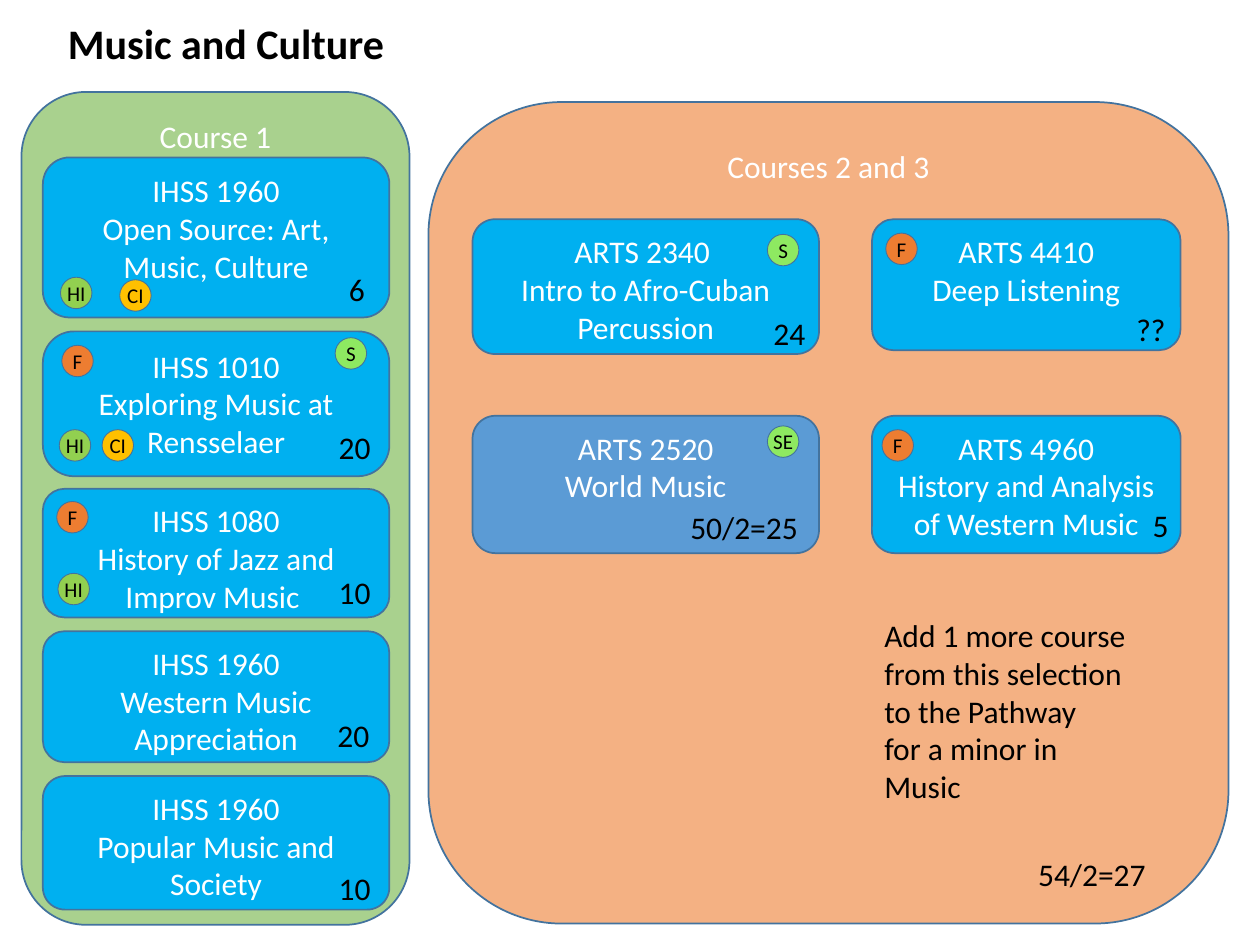
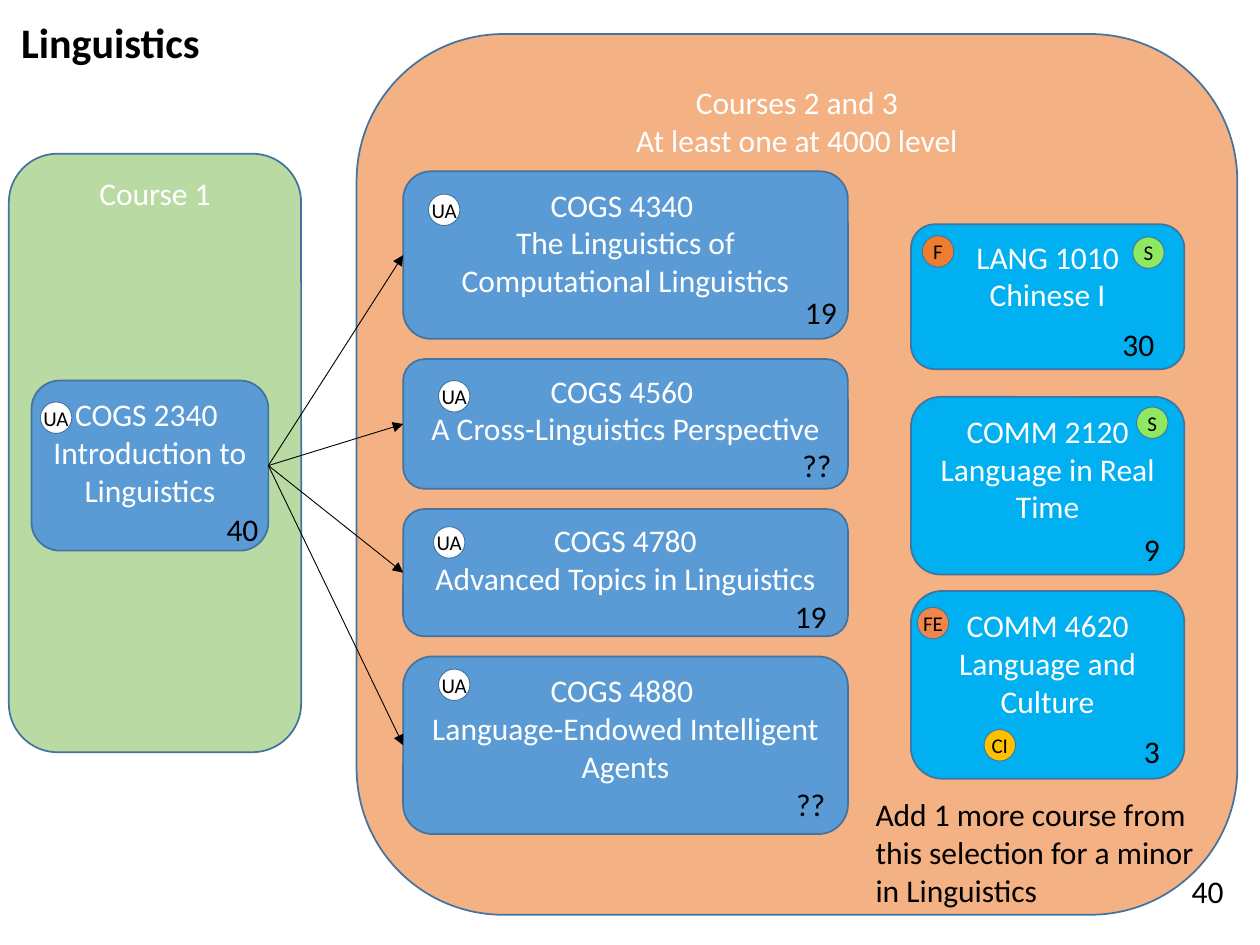
from lxml import etree
from pptx import Presentation
from pptx.dml.color import RGBColor
from pptx.enum.shapes import MSO_CONNECTOR as Connector, MSO_SHAPE as Preset
from pptx.enum.text import MSO_ANCHOR as Anchor, MSO_AUTO_SIZE as AutoSize, PP_ALIGN as Align
from pptx.oxml.ns import qn
from pptx.util import Inches, Pt

GREEN, ORANGE, CYAN, BLUE = "A9D18E", "F4B183", "00B0F0", "5B9BD5"
OUTLINE, WHITE, BLACK = "43739E", "FFFFFF", "000000"
BADGE_COLOURS = {"HI": "92D050", "CI": "FFC000", "F": "ED7D31", "FE": "EF864B",
                 "S": "8EE961", "SE": "8EE961", "UA": WHITE}
BADGE_SIZE = 0.25


def colour(value):
    return RGBColor.from_string(value)


class PathwayDeck:
    """Holds the shared style and the slide being built."""

    font = "Calibri"

    def __init__(self):
        self.deck = Presentation()
        self.deck.slide_width, self.deck.slide_height = Inches(10), Inches(7.5)
        self.slide = None

    def new_slide(self, title, left, top, width):
        self.slide = self.deck.slides.add_slide(self.deck.slide_layouts[6])
        self.text([title], left, top, width, 0.5, size=24, bold=True)

    def add_lines(self, frame, lines, size, ink, align, bold=False):
        for index, line in enumerate(lines):
            paragraph = frame.add_paragraph() if index else frame.paragraphs[0]
            paragraph.alignment = align
            run = paragraph.add_run()
            run.text = line
            run.font.name, run.font.size, run.font.bold = self.font, Pt(size), bold
            run.font.color.rgb = colour(ink)

    def text(self, lines, left, top, width, height, size=18, bold=False):
        box = self.slide.shapes.add_textbox(*map(Inches, (left, top, width, height)))
        box.text_frame.word_wrap = False
        box.text_frame.auto_size = AutoSize.SHAPE_TO_FIT_TEXT
        self.add_lines(box.text_frame, lines, size, BLACK, Align.LEFT, bold)

    def count(self, value, left, top):
        self.text([value], left, top, 0.2 + 0.13 * len(value), 0.4)

    def shape(self, preset, left, top, width, height, fill, weight):
        outline = self.slide.shapes.add_shape(preset, *map(Inches, (left, top, width, height)))
        outline.shadow.inherit = False
        outline.fill.solid()
        outline.fill.fore_color.rgb = colour(fill)
        outline.line.color.rgb = colour(OUTLINE)
        outline.line.width = Pt(weight)
        return outline

    def card(self, lines, left, top, width, height, fill, opacity=100):
        card = self.shape(Preset.ROUNDED_RECTANGLE, left, top, width, height, fill, 1)
        card.text_frame.word_wrap = True
        card.text_frame.vertical_anchor = Anchor.TOP
        self.add_lines(card.text_frame, lines, 18, WHITE, Align.CENTER)
        if opacity < 100:
            solid = card._element.spPr.find(qn("a:solidFill"))
            etree.SubElement(solid[0], qn("a:alpha"), val=str(opacity * 1000))
        return card

    def column(self, left, width, fill, courses):
        return [self.card(lines, left, top, width, height, fill)
                for top, height, *lines in courses]

    def badge(self, code, left, top):
        badge = self.shape(Preset.OVAL, left, top, BADGE_SIZE, BADGE_SIZE,
                           BADGE_COLOURS[code], 0.5)
        frame = badge.text_frame
        frame.word_wrap = False
        frame.vertical_anchor = Anchor.MIDDLE
        frame.margin_left = frame.margin_right = frame.margin_top = frame.margin_bottom = 0
        self.add_lines(frame, [code], 12, BLACK, Align.CENTER)

    def marks(self, badges, counts):
        for badge in badges:
            self.badge(*badge)
        for count in counts:
            self.count(*count)

    def arrow(self, source, target):
        arrow = self.slide.shapes.add_connector(Connector.STRAIGHT, 0, 0, 0, 0)
        arrow.begin_connect(source, 3)
        arrow.end_connect(target, 1)
        arrow.line.color.rgb = colour(BLACK)
        arrow.line.width = Pt(0.5)
        properties = arrow._element.spPr
        etree.SubElement(properties.find(qn("a:ln")), qn("a:tailEnd"), type="triangle")
        etree.SubElement(properties, qn("a:effectLst"))


def build_music(deck):
    deck.new_slide("Music and Culture", 0.44, 0.09, 2.74)
    deck.card(["Course 1"], 0.17, 0.73, 3.08, 6.61, GREEN)
    deck.card(["Courses 2 and 3"], 3.4, 0.81, 6.35, 6.52, ORANGE)
    first_courses = deck.column(0.34, 2.75, CYAN, [
        (1.25, 1.27, "IHSS 1960", "Open Source: Art, Music, Culture"),
        (2.63, 1.15, "IHSS 1010", "Exploring Music at Rensselaer"),
        (3.88, 1.02, "IHSS 1080", "History of Jazz and Improv Music "),
        (5.01, 1.04, "IHSS 1960", "Western Music Appreciation"),
        (6.16, 1.06, "IHSS 1960", "Popular Music and Society"),
    ])
    first_courses[1].adjustments[0] = 0.215
    deck.column(3.75, 2.75, CYAN, [
        (1.74, 1.07, "ARTS 2340 ", "Intro to Afro-Cuban Percussion")])
    deck.column(3.75, 2.75, BLUE, [(3.3, 1.09, "ARTS 2520", "World Music")])
    deck.column(6.92, 2.45, CYAN, [
        (1.74, 1.04, "ARTS 4410", "Deep Listening"),
        (3.3, 1.09, "ARTS 4960", "History and Analysis of Western Music"),
    ])
    deck.marks(
        badges=[("HI", 0.48, 2.2), ("CI", 0.95, 2.22),
                ("F", 0.49, 2.74), ("S", 2.66, 2.68), ("HI", 0.47, 3.41), ("CI", 0.81, 3.41),
                ("F", 0.45, 3.98), ("HI", 0.46, 4.55),
                ("S", 6.09, 1.86), ("SE", 6.09, 3.38), ("F", 7.03, 1.85), ("F", 7, 3.41)],
        counts=[("6", 2.67, 2.09), ("20", 2.59, 3.35), ("10", 2.59, 4.5),
                ("20", 2.58, 5.63), ("10", 2.59, 6.85),
                ("24", 6.04, 2.44), ("50/2=25", 5.38, 3.98),
                ("??", 8.92, 2.41), ("5", 9.05, 3.97), ("54/2=27", 8.14, 6.74)])
    deck.text(["Add 1 more course", "from this selection", "to the Pathway",
               "for a minor in", "Music"], 6.92, 4.84, 2.17, 1.62)


def build_linguistics(deck):
    deck.new_slide("Linguistics", 0.07, 0.08, 1.64)
    deck.card(["Courses 2 and 3", "At least one at 4000 level"], 2.83, 0.27, 6.99, 6.99, ORANGE)
    deck.card(["Course 1"], 0.07, 1.22, 2.32, 4.75, GREEN, opacity=80)
    introduction = deck.card(["COGS 2340 ", "Introduction to Linguistics"],
                             0.25, 3.02, 1.88, 1.35, BLUE)
    follow_ups = deck.column(3.2, 3.53, BLUE, [
        (1.36, 1.33, "COGS 4340 ", "The Linguistics of Computational Linguistics"),
        (2.85, 1.03, "COGS 4560 ", "A Cross-Linguistics Perspective"),
        (4.04, 1.01, "COGS 4780", "Advanced Topics in Linguistics"),
        (5.21, 1.41, "COGS 4880 ", "Language-Endowed Intelligent Agents"),
    ])
    for follow_up in follow_ups:
        deck.arrow(introduction, follow_up)
    deck.column(7.23, 2.17, CYAN, [
        (1.78, 1.15, "LANG 1010", "Chinese I"),
        (3.15, 1.41, "COMM 2120", "Language in Real Time"),
        (4.69, 1.49, "COMM 4620", "Language and Culture"),
    ])
    deck.marks(
        badges=[("UA", 0.32, 3.19), ("UA", 3.4, 1.54), ("UA", 3.48, 3.02),
                ("UA", 3.44, 4.18), ("UA", 3.48, 5.31),
                ("F", 7.32, 1.87), ("S", 8.99, 1.88), ("S", 9.02, 3.23),
                ("FE", 7.28, 4.82), ("CI", 7.81, 5.79)],
        counts=[("40", 1.7, 4), ("19", 6.29, 2.28), ("??", 6.27, 3.49),
                ("19", 6.21, 4.69), ("??", 6.22, 6.18),
                ("30", 8.81, 2.53), ("9", 8.98, 4.16), ("3", 8.98, 5.76), ("40", 9.36, 6.87)])
    deck.text(["Add 1 more course from", "this selection for a minor", "in Linguistics"],
              6.85, 6.26, 2.82, 1.01)


def main():
    pathways = PathwayDeck()
    build_music(pathways)
    build_linguistics(pathways)
    pathways.deck.save("out.pptx")


if __name__ == "__main__":
    main()
